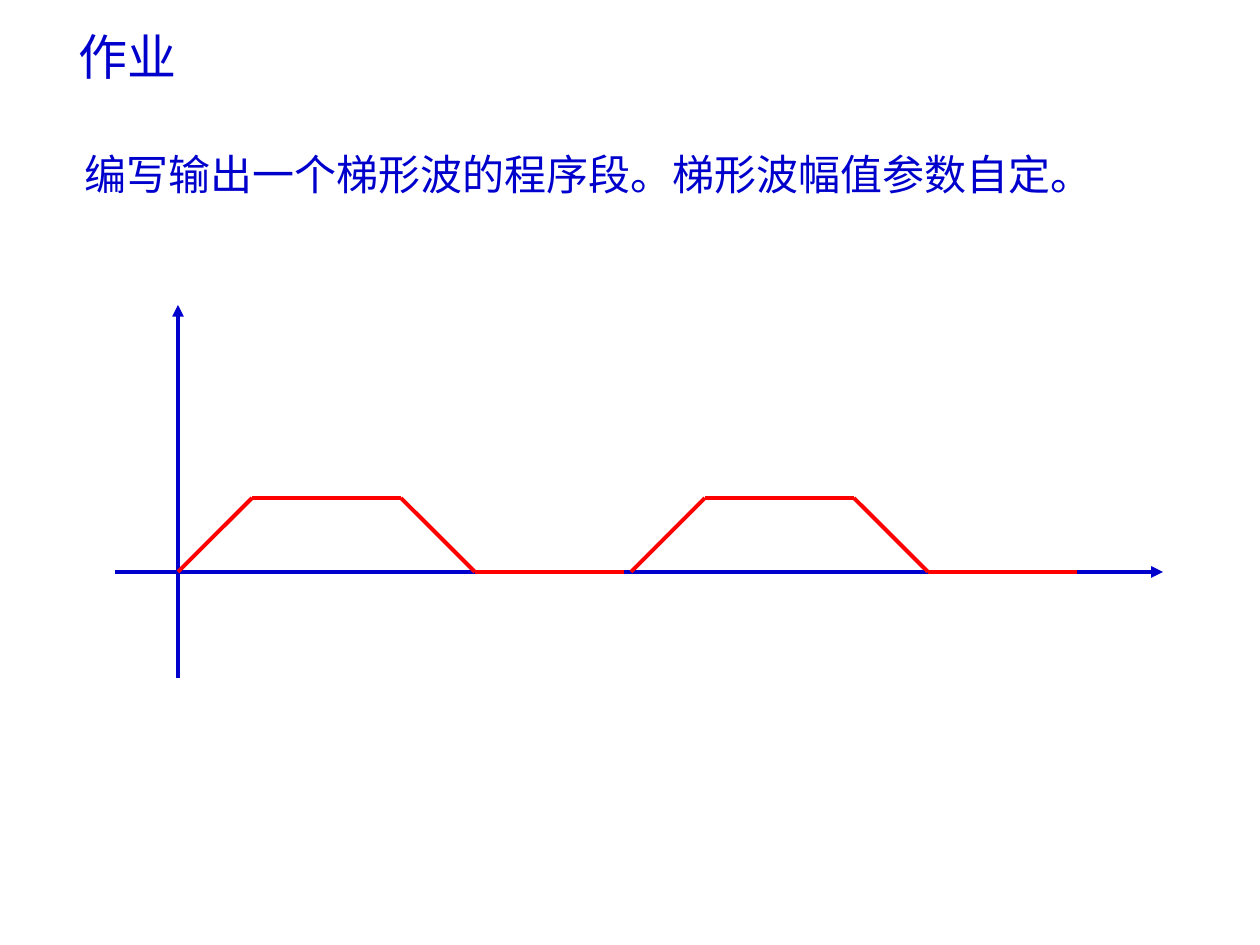
from itertools import pairwise

from lxml import etree
from pptx import Presentation
from pptx.dml.color import RGBColor
from pptx.enum.shapes import MSO_CONNECTOR
from pptx.oxml.ns import qn
from pptx.util import Pt

PX = 914400 / 126
STRAIGHT = MSO_CONNECTOR.STRAIGHT
COLORS = {"blue": "0000CC", "red": "FF0000"}
FONT = "Arial"
ORIGIN_X, BASE_Y = 178, 572
RAMP, FLAT, PERIOD = 74, 149, 453


def emu(px):
    return round(px * PX)


def add_text(page, box_px, text, size, line_spacing=1.0):
    box = page.shapes.add_textbox(*map(emu, box_px))
    box.text_frame.word_wrap = True
    para = box.text_frame.paragraphs[0]
    para.line_spacing = line_spacing
    span = para.add_run()
    span.text = text
    span.font.name = FONT
    span.font.size = Pt(size)
    span.font.color.rgb = RGBColor.from_string(COLORS["blue"])
    properties = span.font._element
    etree.SubElement(properties, qn("a:ea")).set("typeface", FONT)


def add_line(page, start, end, color, arrow=False):
    line = page.shapes.add_connector(STRAIGHT, *map(emu, (*start, *end)))
    line.line.color.rgb = RGBColor.from_string(COLORS[color])
    line.line.width = Pt(2.25)
    if arrow:
        outline = line.line._get_or_add_ln()
        etree.SubElement(outline, qn("a:tailEnd")).set("type", "triangle")
    etree.SubElement(line._element.spPr, qn("a:effectLst"))


def add_axes(page):
    add_line(page, (115, BASE_Y), (1163, BASE_Y), "blue", arrow=True)
    add_line(page, (ORIGIN_X, 678), (ORIGIN_X, 305), "blue", arrow=True)


def add_trapezoid(page, left):
    top = BASE_Y - RAMP
    points = [
        (left, BASE_Y),
        (left + RAMP, top),
        (left + RAMP + FLAT, top),
        (left + 2 * RAMP + FLAT, BASE_Y),
        (left + 2 * RAMP + 2 * FLAT, BASE_Y),
    ]
    for start, end in pairwise(points):
        add_line(page, start, end, "red")


def main():
    deck = Presentation()
    deck.slide_width, deck.slide_height = emu(1260), emu(945)
    page = deck.slides.add_slide(deck.slide_layouts[6])
    add_text(page, (72, 137, 1134, 136),
             "编写输出一个梯形波的程序段。梯形波幅值参数自定。", 24, 1.1)
    add_axes(page)
    for cycle in range(2):
        add_trapezoid(page, ORIGIN_X + cycle * PERIOD)
    add_text(page, (66, 20, 125, 72), "作业", 28)
    deck.save("out.pptx")


if __name__ == "__main__":
    main()
